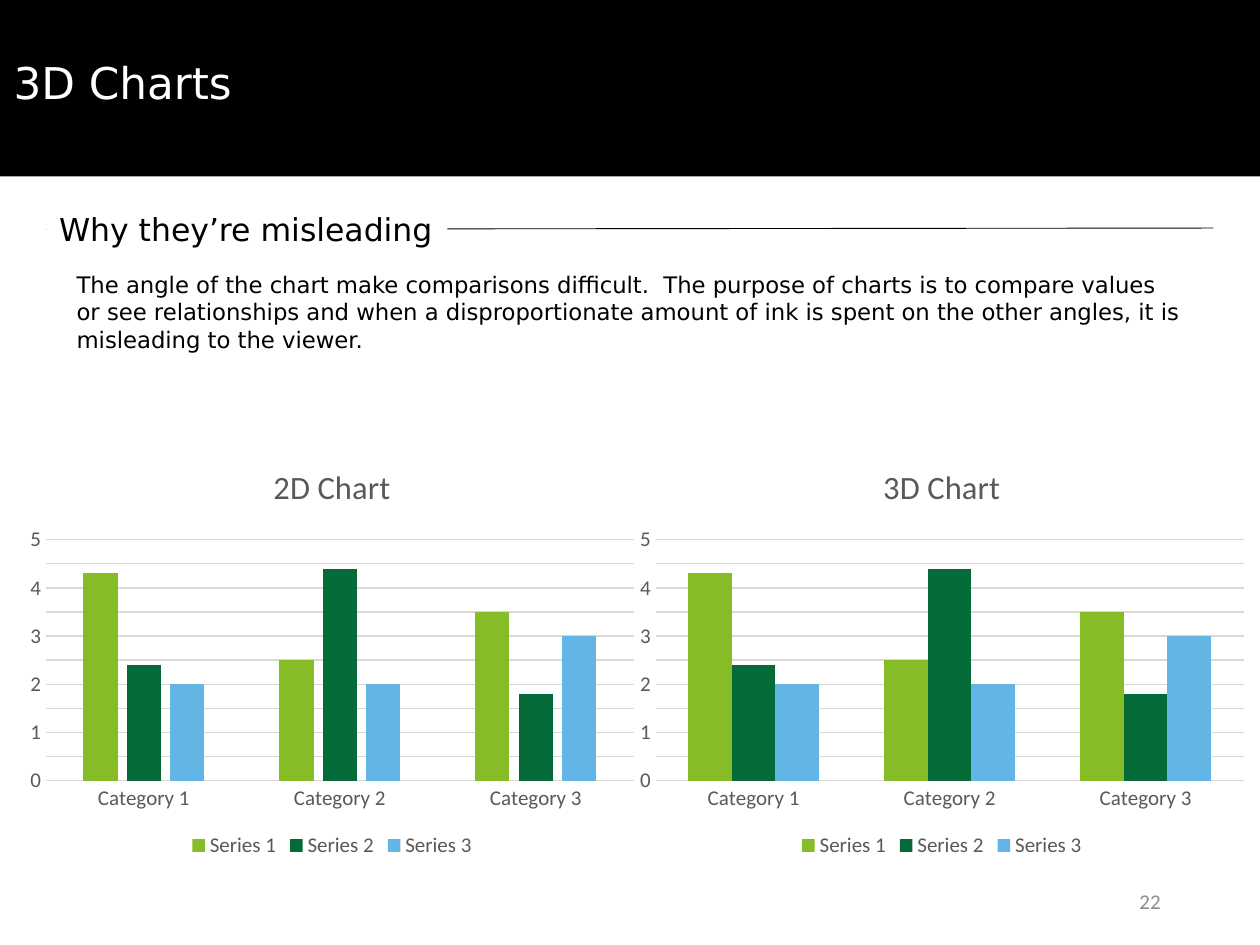
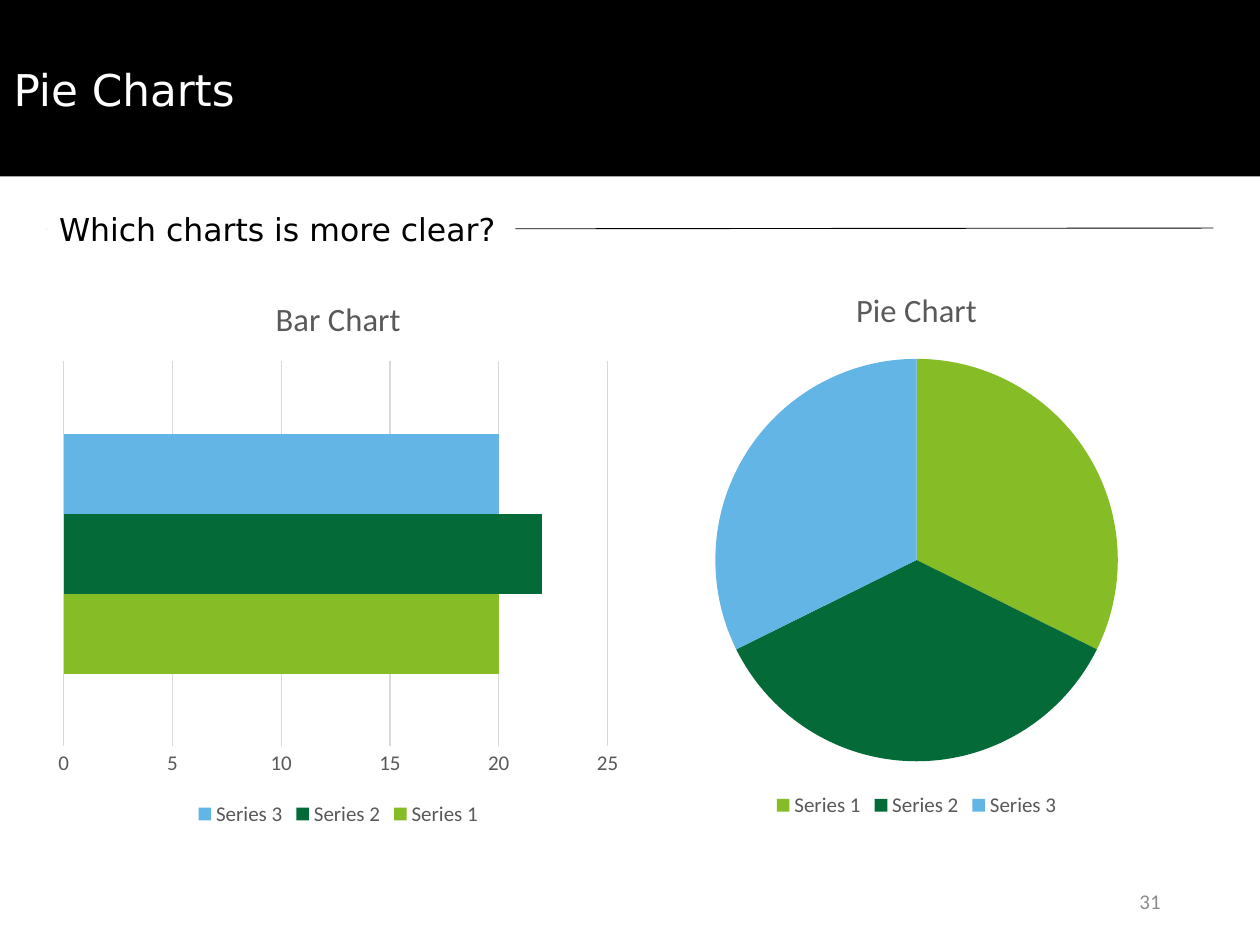
from lxml.etree import SubElement
from pptx import Presentation
from pptx.chart.data import CategoryChartData
from pptx.dml.color import RGBColor
from pptx.enum.chart import XL_CHART_TYPE as CT, XL_LEGEND_POSITION as LEGEND, XL_TICK_MARK as TICK
from pptx.enum.shapes import MSO_CONNECTOR as CONNECTOR, MSO_SHAPE as SHAPE
from pptx.enum.text import MSO_ANCHOR as ANCHOR, PP_ALIGN as ALIGN
from pptx.oxml.ns import qn
from pptx.util import Pt

BLACK = RGBColor(0x00, 0x00, 0x00)
WHITE = RGBColor(0xFF, 0xFF, 0xFF)
CHART_TEXT = RGBColor(0x59, 0x59, 0x59)
NUMBER_GRAY = RGBColor(0x8C, 0x8C, 0x8C)
GRID = RGBColor(0xD9, 0xD9, 0xD9)
LIME = RGBColor(0x86, 0xBC, 0x25)
GREEN = RGBColor(0x04, 0x6A, 0x38)
BLUE = RGBColor(0x62, 0xB5, 0xE5)
PALETTE = (LIME, GREEN, BLUE)
SERIES = ("Series 1", "Series 2", "Series 3")


class Deck:
    text_font = "DejaVu Sans"
    chart_font = "Calibri"

    def __init__(self):
        self.prs = Presentation()
        self.prs.slide_width, self.prs.slide_height = Pt(720), Pt(540)
        self.s = None

    def slide(self, title, heading, number, title_top, heading_width):
        self.s = self.prs.slides.add_slide(self.prs.slide_layouts[6])
        self.rect(0, 0, 720, 100.8, BLACK)
        self.text(title, 0.72, title_top, 680, 72, size=25, color=WHITE,
                  anchor=ANCHOR.MIDDLE, spacing=0.9)
        self.line(26.64, 131.04, 693.36, 130.32)
        self.text(heading, 26.64, 116.64, heading_width, 28.8, size=18,
                  fill=WHITE, wrap=False)
        self.text(str(number), 508.32, 500.4, 162, 28.8, size=12, color=NUMBER_GRAY,
                  font=self.chart_font, anchor=ANCHOR.MIDDLE, align=ALIGN.RIGHT)

    def rect(self, x, y, w, h, color):
        sp = self.s.shapes.add_shape(SHAPE.RECTANGLE, Pt(x), Pt(y), Pt(w), Pt(h))
        sp.shadow.inherit = False
        sp.fill.solid()
        sp.fill.fore_color.rgb = color
        sp.line.fill.background()

    def line(self, x1, y1, x2, y2):
        sp = self.s.shapes.add_connector(CONNECTOR.STRAIGHT, Pt(x1), Pt(y1), Pt(x2), Pt(y2))
        sp.line.color.rgb = BLACK
        sp.line.width = Pt(0.5)
        SubElement(sp._element.spPr, qn("a:effectLst"))

    def text(self, text, x, y, w, h, size, color=BLACK, font=text_font, fill=None,
             anchor=ANCHOR.TOP, align=ALIGN.LEFT, spacing=None, wrap=True):
        sp = self.s.shapes.add_textbox(Pt(x), Pt(y), Pt(w), Pt(h))
        if fill is not None:
            sp.fill.solid()
            sp.fill.fore_color.rgb = fill
        tf = sp.text_frame
        tf.word_wrap = wrap
        tf.vertical_anchor = anchor
        p = tf.paragraphs[0]
        p.alignment = align
        p.line_spacing = spacing
        r = p.add_run()
        r.text = text
        self.style(r.font, size, color, font)

    def style(self, font, size, color, name):
        font.size = Pt(size)
        font.color.rgb = color
        font.name = name
        font.bold = False

    def chart(self, kind, title, categories, series, x, y, w, h):
        data = CategoryChartData()
        data.categories = categories
        for name, values in series.items():
            data.add_series(name, values)
        chart = self.s.shapes.add_chart(kind, Pt(x), Pt(y), Pt(w), Pt(h), data).chart
        self.style(chart.font, 12, CHART_TEXT, self.chart_font)
        chart.has_title = True
        p = chart.chart_title.text_frame.paragraphs[0]
        r = p.add_run()
        r.text = title
        self.style(r.font, 18.6, CHART_TEXT, self.chart_font)
        chart.chart_title.include_in_layout = False
        chart.has_legend = True
        chart.legend.position = LEGEND.BOTTOM
        chart.legend.include_in_layout = False
        return chart

    def bars(self, *args, gap, overlap=0, axis_line=False, show_categories=True):
        chart = self.chart(*args)
        plot = chart.plots[0]
        plot.vary_by_categories = False
        plot.gap_width, plot.overlap = gap, overlap
        for series, color in zip(plot.series, PALETTE):
            series.invert_if_negative = False
            self.paint(series, color)
        for axis in (chart.category_axis, chart.value_axis):
            axis.major_tick_mark = axis.minor_tick_mark = TICK.NONE
            axis.format.line.fill.background()
        chart.category_axis.visible = show_categories
        if axis_line:
            self.grid_line(chart.category_axis.format.line)
        chart.value_axis.minimum_scale = 0
        self.grid_line(chart.value_axis.major_gridlines.format.line)

    def pie(self, *args):
        plot = self.chart(CT.PIE, *args).plots[0]
        plot.vary_by_categories = True
        for i, color in enumerate(PALETTE):
            self.paint(plot.series[0].points[i], color)

    def paint(self, part, color):
        part.format.fill.solid()
        part.format.fill.fore_color.rgb = color

    def grid_line(self, line):
        line.color.rgb = GRID
        line.width = Pt(0.75)


def main():
    deck = Deck()

    deck.slide("3D Charts", "Why they’re misleading", 22, title_top=12.96, heading_width=228.96)
    deck.text("The angle of the chart make comparisons difficult.  The purpose of charts is to "
              "compare values or see relationships and when a disproportionate amount of ink is "
              "spent on the other angles, it is misleading to the viewer.",
              36.72, 151.2, 644.4, 54.72, size=13)
    categories = ("Category 1", "Category 2", "Category 3")
    values = dict(zip(SERIES, ((4.3, 2.5, 3.5), (2.4, 4.4, 1.8), (2, 2, 3))))
    size = (359.28, 239.76)
    deck.bars(CT.COLUMN_CLUSTERED, "2D Chart", categories, values, 10.08, 253.44, *size,
              gap=219, overlap=-27, axis_line=True)
    deck.bars(CT.COLUMN_CLUSTERED, "3D Chart", categories, values, 358.56, 253.44, *size,
              gap=150)

    deck.slide("Pie Charts", "Which charts is more clear?", 31, title_top=16.56,
               heading_width=267.84)
    size = (333.36, 319.68)
    deck.bars(CT.BAR_CLUSTERED, "Bar Chart", ("1",), dict(zip(SERIES, ((20,), (22,), (20,)))),
              26.64, 155.52, *size, gap=182, show_categories=False)
    deck.pie("Pie Chart", SERIES, {"Series 1": (32, 35, 32)}, 357.12, 150.48, *size)

    deck.prs.save("out.pptx")


if __name__ == "__main__":
    main()
